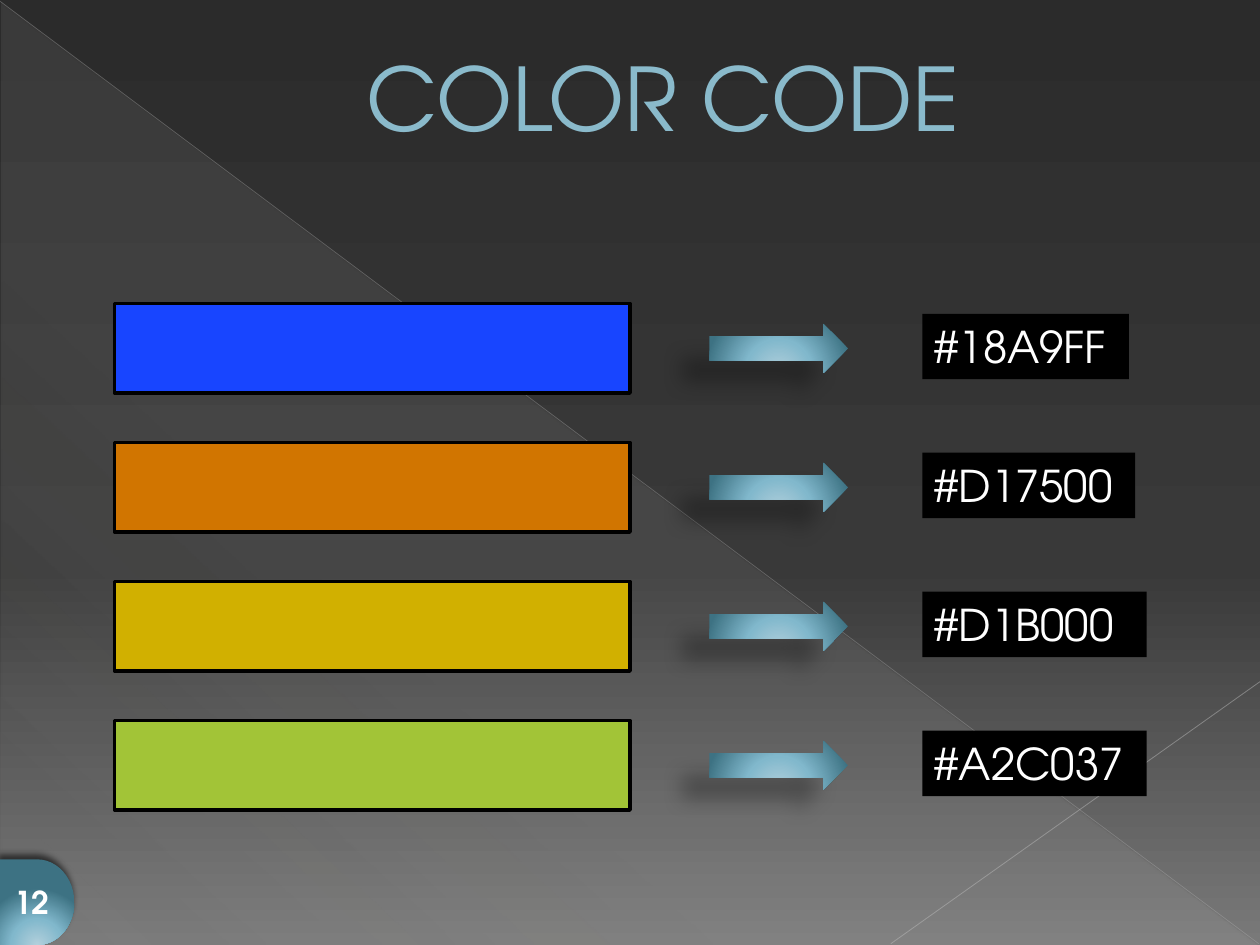
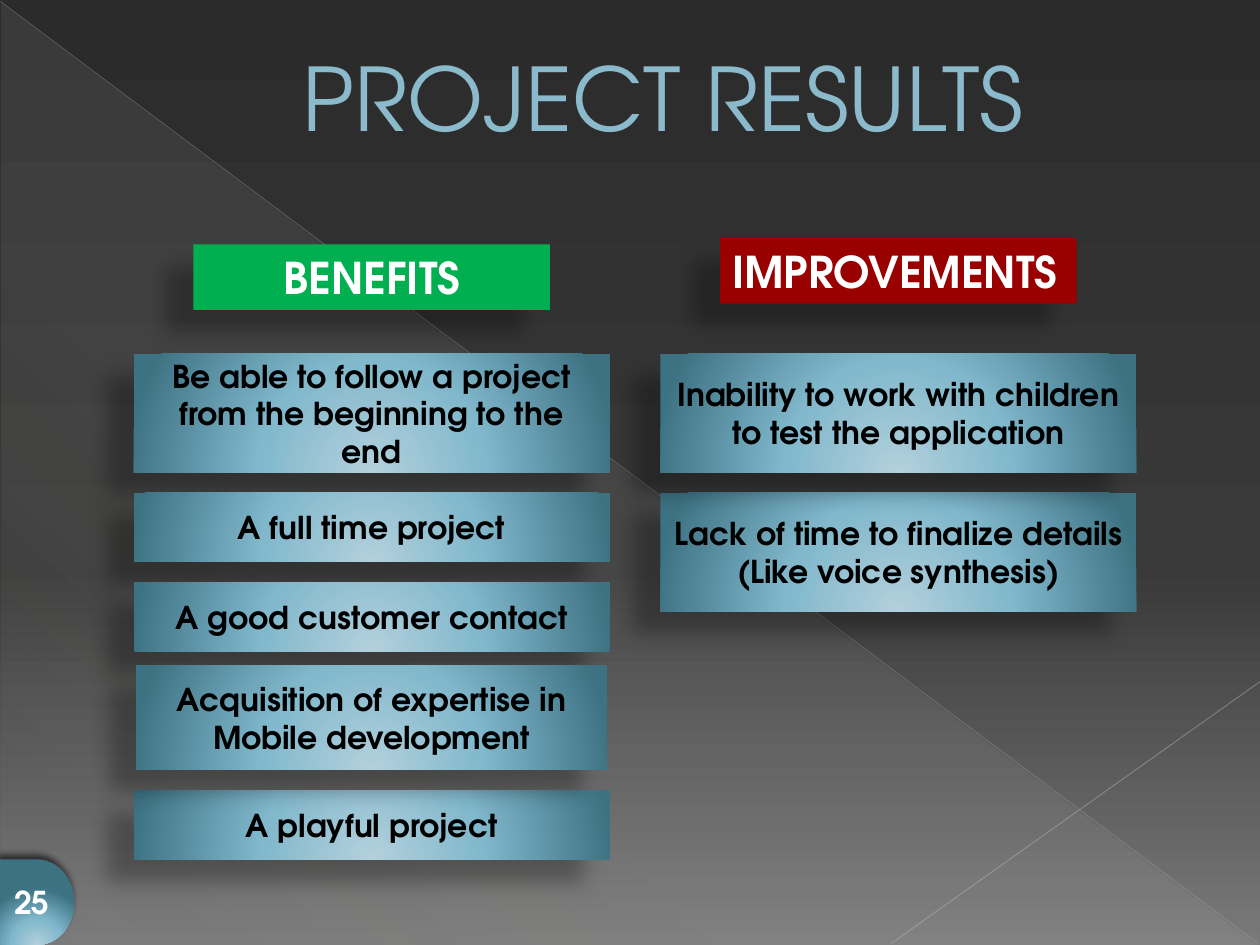
from lxml import etree
from pptx import Presentation
from pptx import util as u
from pptx.dml.color import RGBColor
from pptx.enum import shapes, text
from pptx.oxml import ns

FONT = "TeX Gyre Adventor"
COLORS = {
    "title": "8ABACB", "title_edge": "4C6F7A",
    "white": "FFFFFF", "black": "000000", "veil": "D4D2D0",
    "diagonal": "B7B7B7", "corner": "BFBFBF",
    "benefits": "00B050", "improvements": "990000",
}
BACKDROP = [(0, "2B2B2B", 100), (60, "393939", 100), (100, "797979", 100)]
VEIL = [(0, COLORS["veil"], 10), (70, COLORS["veil"], 8), (100, COLORS["veil"], 1)]
GLOW = [(0, "B3D0DC", 100), (46, "81B8CC", 100), (100, "3D7283", 100)]
CARD_SHADOW = (28, 11.8, 19.7, 141)
BADGE_SHADOW = (60, 4, 3, 245)

COLOR_CODE = {
    "title": "COLOR CODE",
    "page": "12",
    "swatches": [
        ("1845FF", "#18A9FF", 1.64),
        ("D17500", "#D17500", 1.69),
        ("D1B000", "#D1B000", 1.78),
        ("A2C437", "#A2C037", 1.78),
    ],
}
PROJECT_RESULTS = {
    "title": "PROJECT RESULTS",
    "page": "25",
    "columns": [
        {"heading": "BENEFITS", "color": "benefits", "center": 2.95, "top": 1.94,
         "align": text.PP_ALIGN.CENTER,
         "cards": [
             ("A playful project", 6.27, 3.78, 0.55),
             ("Be able to follow a project from the beginning to the end", 2.81, 3.78, 0.94),
             ("A full time project", 3.91, 3.78, 0.55),
             ("A good customer contact", 4.62, 3.78, 0.55),
             ("Acquisition of expertise in Mobile development", 5.28, 3.74, 0.83),
         ]},
        {"heading": "IMPROVEMENTS", "color": "improvements", "center": 7.13, "top": 1.89,
         "align": text.PP_ALIGN.LEFT,
         "cards": [
             ("Lack of time to finalize details (Like voice synthesis)", 3.91, 3.78, 0.94),
             ("Inability to work with children to test the application", 2.81, 3.78, 0.94),
         ]},
    ],
}


def rgb(color):
    return RGBColor.from_string(color)


def add(parent, tag, **attributes):
    node = etree.SubElement(parent, ns.qn("a:" + tag))
    for name, value in attributes.items():
        node.set(name, str(value))
    return node


def add_color(parent, color, alpha):
    node = add(parent, "srgbClr", val=color)
    if alpha < 100:
        add(node, "alpha", val=alpha * 1000)


def paint_gradient(properties, stops, angle=None):
    solid = properties.find(ns.qn("a:solidFill"))
    gradient = etree.Element(ns.qn("a:gradFill"), rotWithShape="1")
    stop_list = add(gradient, "gsLst")
    for position, color, alpha in stops:
        add_color(add(stop_list, "gs", pos=position * 1000), color, alpha)
    if angle is None:
        circle = add(gradient, "path", path="circle")
        add(circle, "fillToRect", l=50000, t=155000, r=50000, b=-55000)
    else:
        add(gradient, "lin", ang=angle * 60000, scaled=0)
    properties.replace(solid, gradient)


def add_block(slide, kind, box, fill, outline=None, shadow=None, angle=None):
    block = slide.shapes.add_shape(kind, *map(u.Inches, box))
    block.shadow.inherit = False
    block.fill.solid()
    if isinstance(fill, list):
        paint_gradient(block._element.spPr, fill, angle)
    else:
        block.fill.fore_color.rgb = rgb(fill)
    if outline:
        block.line.color.rgb = rgb(outline)
        block.line.width = u.Pt(2)
    else:
        block.line.fill.background()
    if shadow:
        alpha, blur, distance, direction = shadow
        effects = block._element.spPr.find(ns.qn("a:effectLst"))
        outer = add(effects, "outerShdw", blurRad=u.Pt(blur), dist=u.Pt(distance),
                    dir=direction * 60000, algn="ctr", rotWithShape=0)
        add_color(outer, COLORS["black"], alpha)
    return block


def write(holder, words, size, color, align=text.PP_ALIGN.CENTER,
          anchor=text.MSO_ANCHOR.MIDDLE, bold=False):
    frame = holder.text_frame
    frame.word_wrap = True
    frame.vertical_anchor = anchor
    paragraph = frame.paragraphs[0]
    paragraph.alignment = align
    run = paragraph.add_run()
    run.text = words
    run.font.name = FONT
    run.font.size = u.Pt(size)
    run.font.bold = bold
    run.font.color.rgb = rgb(color)
    return paragraph, run


def add_hairline(slide, start, end, color, width, alpha):
    hairline = slide.shapes.add_connector(
        shapes.MSO_CONNECTOR.STRAIGHT, *map(u.Inches, start + end))
    hairline.line.color.rgb = rgb(color)
    hairline.line.width = u.Pt(width)
    properties = hairline._element.spPr
    add(properties.find(".//" + ns.qn("a:srgbClr")), "alpha", val=alpha * 1000)
    add(properties, "effectLst")


def start_slide(deck, content):
    slide = deck.slides.add_slide(deck.slide_layouts[6])
    slide.background.fill.solid()
    paint_gradient(slide._element.find(".//" + ns.qn("p:bgPr")), BACKDROP, 90)
    add_block(slide, shapes.MSO_SHAPE.RIGHT_TRIANGLE, (0.01, 0.02, 9.98, 7.48),
              VEIL, angle=133)
    add_hairline(slide, (0, 0.01), (9.99, 7.49), COLORS["diagonal"], 0.39, 35)
    add_hairline(slide, (10, 5.41), (7.07, 7.49), COLORS["corner"], 0.47, 45)

    title = slide.shapes.add_textbox(*map(u.Inches, (0, 0, 10, 1.53)))
    paragraph, run = write(title, content["title"], 50, COLORS["title"])
    paragraph._p.get_or_add_pPr().set("marL", str(u.Inches(0.53)))
    edge = etree.Element(ns.qn("a:ln"), w=str(u.Pt(0.5)))
    add_color(add(edge, "solidFill"), COLORS["title_edge"], 100)
    run.font._element.insert(0, edge)
    return slide


def add_badge(slide, page):
    badge = add_block(slide, shapes.MSO_SHAPE.FLOWCHART_DELAY, (0, 6.82, 0.59, 0.68),
                      GLOW, shadow=BADGE_SHADOW)
    write(badge, page, 18, COLORS["white"], bold=True)


def build_color_code(deck, content):
    slide = start_slide(deck, content)
    rectangle = shapes.MSO_SHAPE.RECTANGLE
    for row, (swatch, code, code_width) in enumerate(content["swatches"]):
        drop = row * 1.103
        add_block(slide, rectangle, (0.91, 2.41 + drop, 4.09, 0.71), swatch,
                  outline=COLORS["black"])
        add_block(slide, shapes.MSO_SHAPE.RIGHT_ARROW, (5.63, 2.57 + drop, 1.1, 0.39),
                  GLOW, shadow=CARD_SHADOW)
        label = add_block(slide, rectangle, (7.32, 2.49 + drop, code_width, 0.52),
                          COLORS["black"])
        write(label, code, 25, COLORS["white"], text.PP_ALIGN.LEFT, text.MSO_ANCHOR.TOP)
    add_badge(slide, content["page"])


def build_project_results(deck, content):
    slide = start_slide(deck, content)
    rectangle = shapes.MSO_SHAPE.RECTANGLE
    for column in content["columns"]:
        center = column["center"]
        for words, top, width, height in column["cards"]:
            card = add_block(slide, rectangle, (center - width / 2, top, width, height),
                             GLOW, shadow=CARD_SHADOW)
            write(card, words, 18, COLORS["black"], bold=True)
        heading = add_block(slide, rectangle, (center - 2.83 / 2, column["top"], 2.83, 0.52),
                            COLORS[column["color"]], shadow=CARD_SHADOW)
        write(heading, column["heading"], 25, COLORS["white"], column["align"],
              text.MSO_ANCHOR.TOP, bold=True)
    add_badge(slide, content["page"])


def main():
    deck = Presentation()
    deck.slide_width, deck.slide_height = u.Inches(10), u.Inches(7.5)
    build_color_code(deck, COLOR_CODE)
    build_project_results(deck, PROJECT_RESULTS)
    deck.save("out.pptx")


if __name__ == "__main__":
    main()
